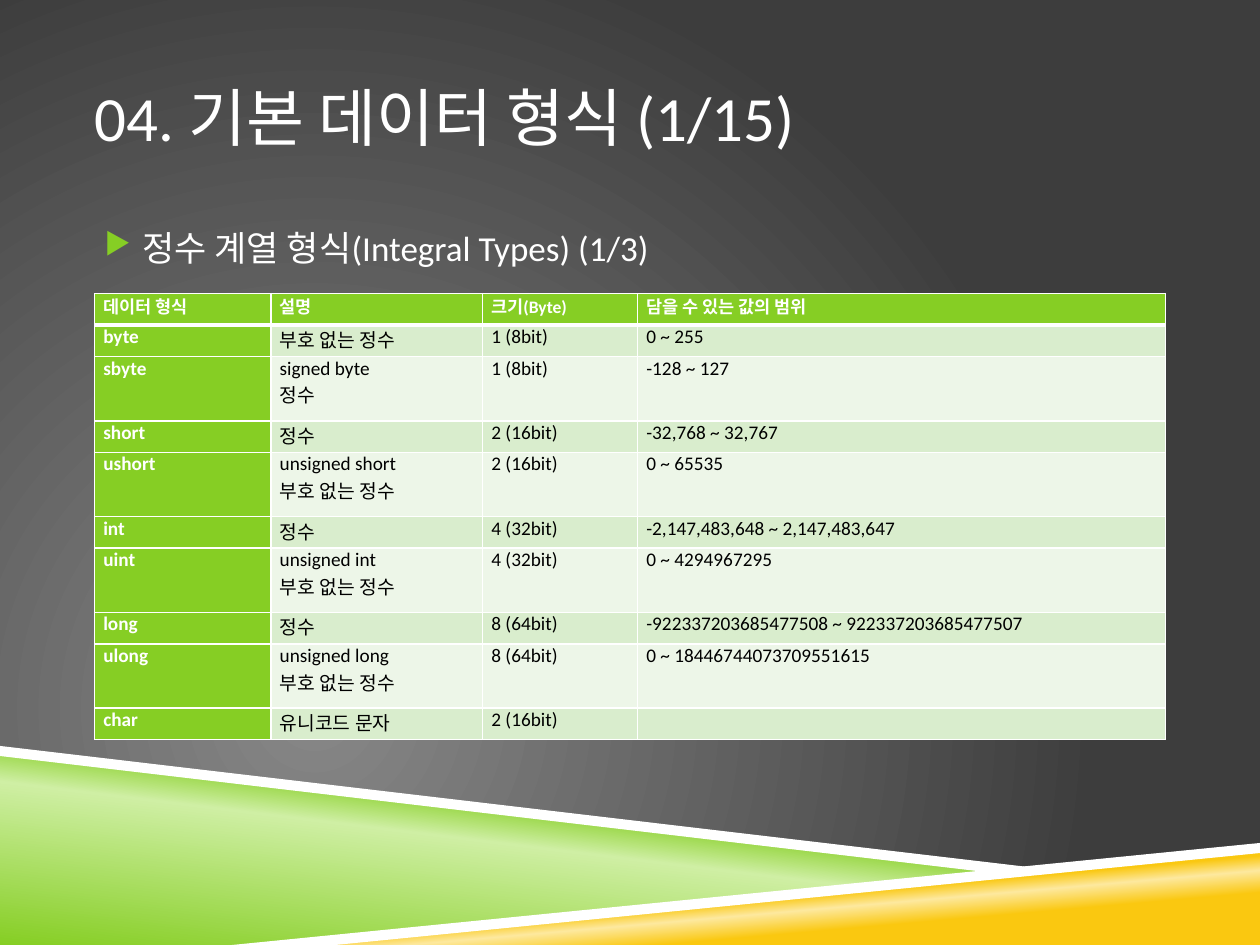
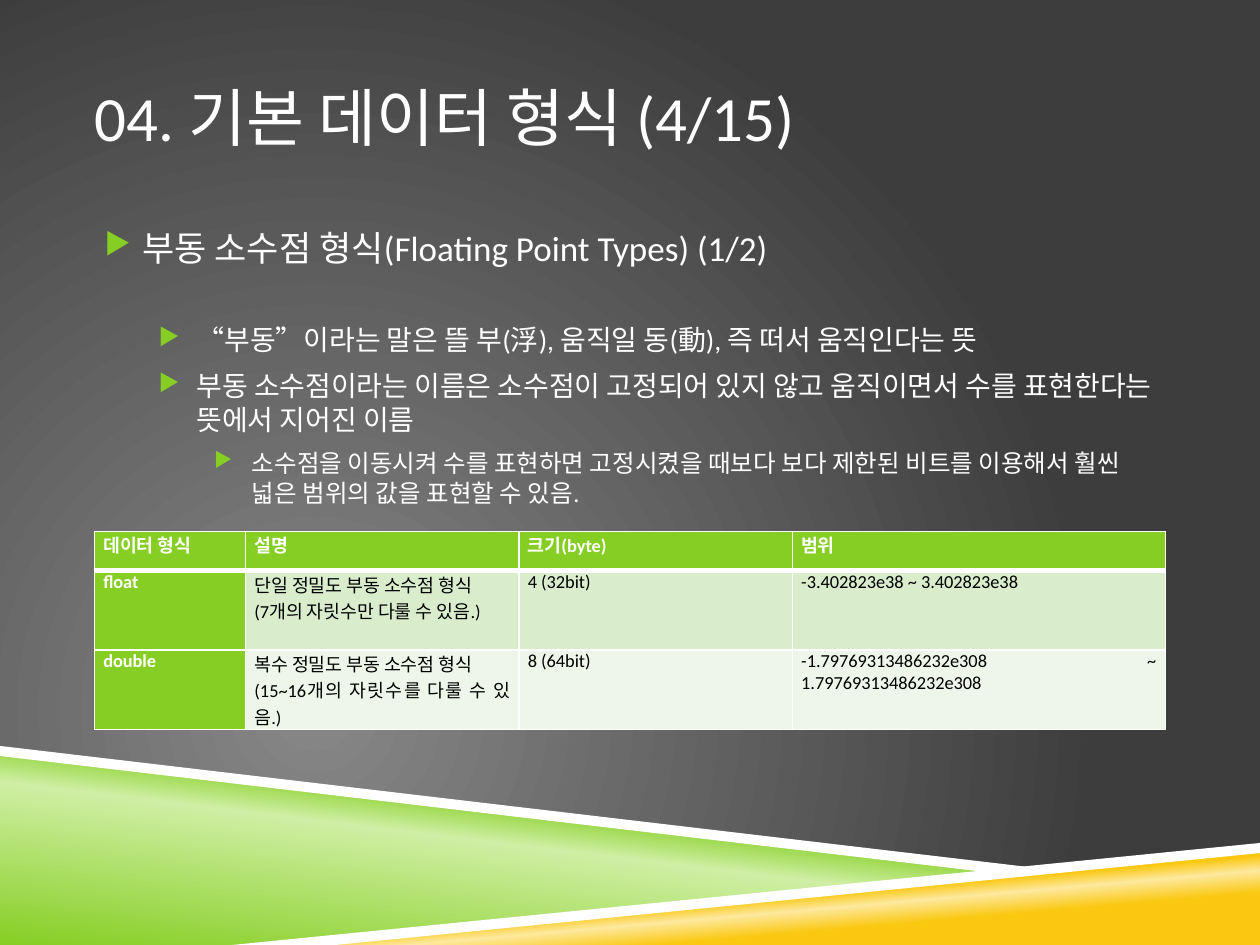
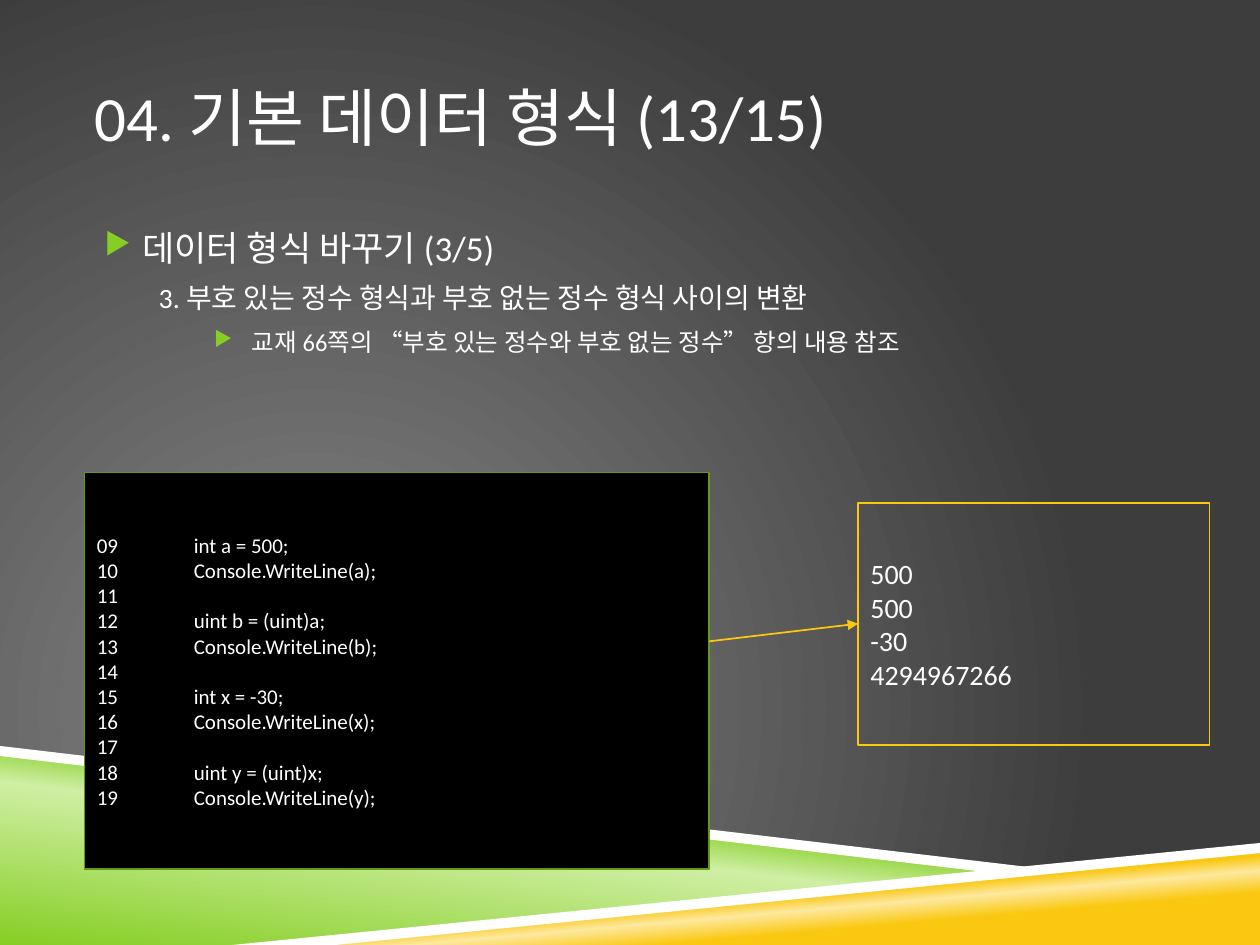
import pptx
import pptx.util
import pptx.dml.color
import pptx.enum.shapes
import pptx.enum.text
import pptx.oxml
import pptx.oxml.ns

Inches, Pt = pptx.util.Inches, pptx.util.Pt
qn = pptx.oxml.ns.qn
ALIGN = pptx.enum.text.PP_ALIGN
ANCHOR = pptx.enum.text.MSO_ANCHOR

FONT = "Calibri"
WHITE, BLACK = "FFFFFF", "000000"
GREEN, DARK_GREEN, PALE_GREEN = "86CE24", "63981B", "CFEFA4"
GOLD, PALE_GOLD = "FAC810", "FDE99F"
ROW_TINTS = ["D9EDCD", "EDF6E8"]
LEFT, CONTENT_WIDTH = 0.75, 8.5

BACKDROP_STOPS = [(0, "878787"), (100, "3D3D3D")]
BACKDROP_CENTRE = '<a:path path="circle"><a:fillToRect l="50000" t="100000" r="100000" b="50000"/></a:path>'
BANDS = [
    ([(0, 5.97), (7.92, 6.92), (2, 7.5), (0, 7.5)],
     [(0, GREEN), (52, PALE_GREEN), (66, GREEN)], 277),
    ([(1.98, 7.5), (10, 6.72), (10, 7.5)],
     [(28, GOLD), (40, PALE_GOLD), (48, GOLD)], 265),
    ([(0, 5.92), (0, 6), (7.9, 6.93), (8.32, 6.9)], None, None),
    ([(10, 6.69), (1.84, 7.5), (2.66, 7.5), (10, 6.77)], None, None),
]

LEVEL_SIZES = [20, 16, 14]
LEVEL_MARGINS = [0.38, 0.81, 1.25]
HANGING = -0.3
NUMBERED_MARGIN = 0.51
SPACE_BEFORE, WIDE_SPACE_BEFORE = 7, 31

INTEGER_TYPES = [
    ["데이터 형식", "설명", "크기(Byte)", "담을 수 있는 값의 범위"],
    ["byte", "부호 없는 정수", "1 (8bit)", "0 ~ 255"],
    ["sbyte", "signed byte\n정수", "1 (8bit)", "-128 ~ 127"],
    ["short", "정수", "2 (16bit)", "-32,768 ~ 32,767"],
    ["ushort", "unsigned short\n부호 없는 정수", "2 (16bit)", "0 ~ 65535"],
    ["int", "정수", "4 (32bit)", "-2,147,483,648 ~ 2,147,483,647"],
    ["uint", "unsigned int\n부호 없는 정수", "4 (32bit)", "0 ~ 4294967295"],
    ["long", "정수", "8 (64bit)", "-922337203685477508 ~ 922337203685477507"],
    ["ulong", "unsigned long\n부호 없는 정수", "8 (64bit)", "0 ~ 18446744073709551615"],
    ["char", "유니코드 문자", "2 (16bit)", ""],
]
FLOAT_TYPES = [
    ["데이터 형식", "설명", "크기(byte)", "범위"],
    ["float", "단일 정밀도 부동 소수점 형식\n(7개의 자릿수만 다룰 수 있음.)",
     "4 (32bit)", "-3.402823e38 ~ 3.402823e38"],
    ["double", "복수 정밀도 부동 소수점 형식\n(15~16개의 자릿수를 다룰 수 있음.)",
     "8 (64bit)", "-1.79769313486232e308 ~ 1.79769313486232e308"],
]
CODE_START = 9
CODE = ["int a = 500;", "Console.WriteLine(a);", "",
        "uint b = (uint)a;", "Console.WriteLine(b);", "",
        "int x = -30;", "Console.WriteLine(x);", "",
        "uint y = (uint)x;", "Console.WriteLine(y);"]
CODE_TAB = 0.77
OUTPUT = ["500", "500", "-30", "4294967266"]

SLIDES = [
    {"page": 1,
     "body": [(0, "정수 계열 형식(Integral Types) (1/3)")],
     "table": {"rows": INTEGER_TYPES, "top": 2.33, "columns": [1.4, 1.68, 1.23, 4.19],
               "heights": [0.51 if "\n" in row[1] else 0.25 for row in INTEGER_TYPES],
               "header_size": 10, "size": 11}},
    {"page": 4,
     "body": [(0, "부동 소수점 형식(Floating Point Types) (1/2)"),
              (1, "“부동”이라는 말은 뜰 부(浮), 움직일 동(動), 즉 떠서 움직인다는 뜻", "wide"),
              (1, "부동 소수점이라는 이름은 소수점이 고정되어 있지 않고 움직이면서 수를 표현한다는 뜻에서 지어진 이름"),
              (2, "소수점을 이동시켜 수를 표현하면 고정시켰을 때보다 보다 제한된 비트를 이용해서 훨씬 넓은 범위의 값을 표현할 수 있음.")],
     "table": {"rows": FLOAT_TYPES, "top": 4.22, "columns": [1.2, 2.17, 2.17, 2.96],
               "heights": [0.31, 0.63, 0.63], "header_size": 10.5, "size": 10.5}},
    {"page": 13,
     "body": [(0, "데이터 형식 바꾸기 (3/5)"),
              (1, "3. 부호 있는 정수 형식과 부호 없는 정수 형식 사이의 변환", "numbered"),
              (2, "교재 66쪽의 “부호 있는 정수와 부호 없는 정수” 항의 내용 참조")],
     "example": True},
]


def rgb(value):
    return pptx.dml.color.RGBColor.from_string(value)


def xml(markup):
    tag, rest = markup[1:].split(" ", 1) if " " in markup.split(">")[0] else (markup[1:].split(">")[0], None)
    namespace = pptx.oxml.ns.nsdecls("a")
    return pptx.oxml.parse_xml(markup.replace(tag, f"{tag} {namespace}", 1))


def set_gradient(fill, owner, stops, direction):
    fill.gradient()
    gradient = owner.find(".//" + qn("a:gradFill"))
    for child in list(gradient):
        gradient.remove(child)
    marks = "".join(f'<a:gs pos="{pos * 1000}"><a:srgbClr val="{color}"/></a:gs>' for pos, color in stops)
    gradient.append(xml(f"<a:gsLst>{marks}</a:gsLst>"))
    gradient.append(xml(direction))


def style(paragraph, size, color=WHITE, bold=False, align=ALIGN.LEFT):
    paragraph.alignment = align
    paragraph.font.name = FONT
    paragraph.font.size = Pt(size)
    paragraph.font.bold = bold
    paragraph.font.color.rgb = rgb(color)


def write(frame, lines, size, **look):
    frame.text = "\n".join(lines)
    for paragraph in frame.paragraphs:
        style(paragraph, size, **look)


def add_bands(slide, master):
    for points, stops, angle in BANDS:
        corners = [(Inches(x), Inches(y)) for x, y in points]
        builder = slide.shapes.build_freeform(*corners[0])
        builder.add_line_segments(corners[1:], close=True)
        band = builder.convert_to_shape()
        band.shadow.inherit = False
        band.line.fill.background()
        if stops:
            set_gradient(band.fill, band.element, stops, f'<a:lin ang="{angle * 60000}" scaled="0"/>')
        else:
            band.fill.solid()
            band.fill.fore_color.rgb = rgb(WHITE)
        master.shapes.element.append(band.element)


def add_text_area(slide, top, height, anchor):
    frame = slide.shapes.add_textbox(Inches(LEFT), Inches(top), Inches(CONTENT_WIDTH), Inches(height)).text_frame
    frame.word_wrap = True
    frame.margin_left = frame.margin_right = 0
    frame.vertical_anchor = anchor
    return frame


def add_body(slide, items):
    frame = add_text_area(slide, 1.75, 4.08, ANCHOR.TOP)
    frame.text = "\n".join(item[1] for item in items)
    for paragraph, (level, _, *options) in zip(frame.paragraphs, items):
        numbered = "numbered" in options
        paragraph.level = level
        properties = paragraph._p.get_or_add_pPr()
        properties.set("marL", str(Inches(NUMBERED_MARGIN if numbered else LEVEL_MARGINS[level])))
        properties.set("indent", str(0 if numbered else Inches(HANGING)))
        if not numbered:
            properties.append(xml(f'<a:buClr><a:srgbClr val="{GREEN}"/></a:buClr>'))
            properties.append(xml('<a:buSzPct val="85000"/>'))
            properties.append(xml('<a:buChar char="▶"/>'))
        paragraph.space_before = Pt(WIDE_SPACE_BEFORE if "wide" in options else SPACE_BEFORE)
        style(paragraph, LEVEL_SIZES[level])


def set_borders(cell, row):
    widths = {"lnL": 1, "lnR": 1, "lnT": 3 if row == 1 else 1, "lnB": 3 if row == 0 else 1}
    properties = cell._tc.get_or_add_tcPr()
    for place, (side, width) in enumerate(widths.items()):
        properties.insert(place, xml(
            f'<a:{side} w="{Pt(width)}"><a:solidFill><a:srgbClr val="{WHITE}"/></a:solidFill></a:{side}>'))


def add_type_table(slide, rows, top, columns, heights, header_size, size):
    table = slide.shapes.add_table(len(rows), len(columns), Inches(LEFT), Inches(top),
                                   Inches(CONTENT_WIDTH), Inches(sum(heights))).table
    for column, width in zip(table.columns, columns):
        column.width = Inches(width)
    for r, (texts, height) in enumerate(zip(rows, heights)):
        table.rows[r].height = Inches(height)
        for c, text in enumerate(texts):
            cell = table.cell(r, c)
            heading = r == 0 or c == 0
            cell.margin_left = cell.margin_right = Inches(0.07)
            cell.margin_top = cell.margin_bottom = 0
            cell.fill.solid()
            cell.fill.fore_color.rgb = rgb(GREEN if heading else ROW_TINTS[(r - 1) % 2])
            set_borders(cell, r)
            write(cell.text_frame, text.split("\n"), size if r else header_size,
                  color=WHITE if heading else BLACK, bold=heading, align=ALIGN.JUSTIFY)


def add_panel(slide, left, top, width, height, lines, size, outline, fill=None):
    panel = slide.shapes.add_shape(pptx.enum.shapes.MSO_SHAPE.RECTANGLE,
                                   Inches(left), Inches(top), Inches(width), Inches(height))
    panel.shadow.inherit = False
    if fill:
        panel.fill.solid()
        panel.fill.fore_color.rgb = rgb(fill)
    else:
        panel.fill.background()
    panel.line.color.rgb = rgb(outline)
    panel.line.width = Pt(1)
    panel.text_frame.vertical_anchor = ANCHOR.MIDDLE
    write(panel.text_frame, lines, size)
    return panel


def add_example(slide):
    numbered = [f"{number:02d}\t{code}" if code else f"{number:02d}"
                for number, code in enumerate(CODE, CODE_START)]
    listing = add_panel(slide, 0.67, 3.75, 4.96, 3.15, numbered, 12, DARK_GREEN, BLACK)
    for paragraph in listing.text_frame.paragraphs:
        properties = paragraph._p.get_or_add_pPr()
        properties.insert(0, xml(f'<a:tabLst><a:tab pos="{Inches(CODE_TAB)}" algn="l"/></a:tabLst>'))
    result = add_panel(slide, 6.81, 3.99, 2.79, 1.92, OUTPUT, 16, GOLD)
    arrow = slide.shapes.add_connector(pptx.enum.shapes.MSO_CONNECTOR.STRAIGHT,
                                       listing.left + listing.width, Inches(5.09),
                                       result.left, result.top + result.height // 2)
    arrow.line.color.rgb = rgb(GOLD)
    arrow.line.width = Pt(1)
    outline = arrow.element.spPr.find(qn("a:ln"))
    outline.append(xml('<a:tailEnd type="triangle"/>'))
    outline.addnext(xml("<a:effectLst></a:effectLst>"))


deck = pptx.Presentation()
deck.slide_width, deck.slide_height = Inches(10), Inches(7.5)
master = deck.slide_master
set_gradient(master.background.fill, master.element, BACKDROP_STOPS, BACKDROP_CENTRE)

for index, content in enumerate(SLIDES):
    slide = deck.slides.add_slide(deck.slide_layouts[6])
    if index == 0:
        add_bands(slide, master)
    title = add_text_area(slide, 0.3, 1.25, ANCHOR.MIDDLE)
    write(title, [f"04. 기본 데이터 형식 ({content['page']}/15)"], 36)
    add_body(slide, content["body"])
    if "table" in content:
        add_type_table(slide, **content["table"])
    if "example" in content:
        add_example(slide)

deck.save("out.pptx")
